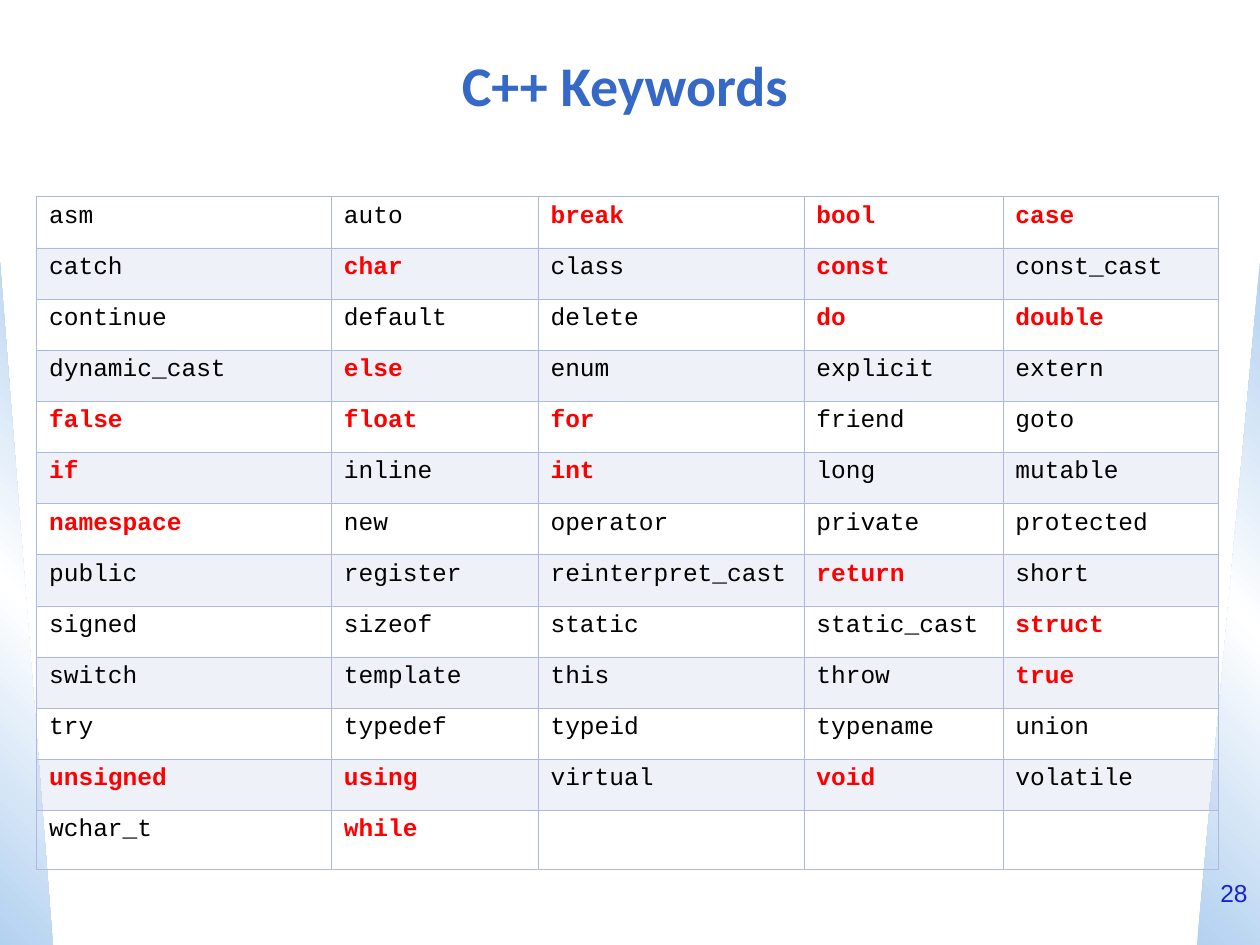
from pptx import Presentation
from pptx.dml.color import RGBColor
from pptx.enum.shapes import MSO_SHAPE as Shape
from pptx.enum.text import MSO_ANCHOR as Anchor, PP_ALIGN as Align
from pptx.oxml import parse_xml
from pptx.oxml.ns import nsdecls
from pptx.util import Inches, Pt

BLUE, TITLE_BLUE, NUMBER_BLUE = "B3D1F0", "3568C7", "1822CD"
GRID, RED, BLACK, WHITE = "AEB9E0", "FF0000", "000000", "FFFFFF"

COLUMN_WIDTHS = (2.34, 1.64, 2.11, 1.58, 1.71)
ROW_HEIGHT, LAST_ROW_HEIGHT = 5.28 / 13, 0.47

# An asterisk marks a highlighted keyword
KEYWORDS = """
asm auto *break *bool *case
catch *char class *const const_cast
continue default delete *do *double
dynamic_cast *else enum explicit extern
*false *float *for friend goto
*if inline *int long mutable
*namespace new operator private protected
public register reinterpret_cast *return short
signed sizeof static static_cast *struct
switch template this throw *true
try typedef typeid typename union
*unsigned *using virtual *void volatile
wchar_t *while
"""


def color(value):
    return RGBColor.from_string(value)


def format_text(paragraph, font_name, size, value, bold=False):
    for run in paragraph.runs:
        run.font.name = font_name
        run.font.size = Pt(size)
        run.font.bold = bold
        run.font.color.rgb = color(value)


def place(shape, left, top, width, height):
    shape.left, shape.top = Inches(left), Inches(top)
    shape.width, shape.height = Inches(width), Inches(height)


def add_side_triangle(slide, left, width, angle, flipped=False):
    shape = slide.shapes.add_shape(Shape.RIGHT_TRIANGLE, Inches(left), Inches(2.08),
                                   Inches(width), Inches(5.42))
    shape.shadow.inherit = False
    shape.line.fill.background()
    properties = shape.element.spPr
    if flipped:
        properties.xfrm.set("flipH", "1")
    stops = "".join(f'<a:gs pos="{position * 1000}"><a:srgbClr val="{value}"/></a:gs>'
                    for position, value in ((0, BLUE), (50, WHITE), (100, BLUE)))
    gradient = parse_xml(f'<a:gradFill {nsdecls("a")} rotWithShape="1"><a:gsLst>{stops}</a:gsLst>'
                         f'<a:lin ang="{angle * 60000}" scaled="0"/></a:gradFill>')
    properties.prstGeom.addnext(gradient)


def add_title(slide, text):
    title = slide.shapes.title
    place(title, 0.25, 0.25, 9.42, 0.83)
    frame = title.text_frame
    frame.text = text
    frame.vertical_anchor = Anchor.MIDDLE
    frame.paragraphs[0].alignment = Align.CENTER
    format_text(frame.paragraphs[0], "Calibri", 32, TITLE_BLUE, bold=True)


def set_borders(cell):
    properties = cell._tc.get_or_add_tcPr()
    for side in "LRTB":
        properties.append(parse_xml(
            f'<a:ln{side} {nsdecls("a")} w="{Pt(0.11)}"><a:solidFill>'
            f'<a:srgbClr val="{GRID}"/></a:solidFill></a:ln{side}>'))


def set_cell_fill(cell, shaded):
    if not shaded:
        cell.fill.background()
        return
    cell.fill.solid()
    cell.fill.fore_color.rgb = color(GRID)
    fill_color = cell._tc.tcPr.find(".//{*}solidFill[last()]/{*}srgbClr")
    for fill_color in cell._tc.tcPr.findall("{*}solidFill/{*}srgbClr"):
        fill_color.append(parse_xml(f'<a:alpha {nsdecls("a")} val="20000"/>'))


def set_keyword(cell, word):
    paragraph = cell.text_frame.paragraphs[0]
    highlighted = word.startswith("*")
    paragraph.text = word.lstrip("*")
    paragraph.line_spacing = 0.92
    format_text(paragraph, "Courier New", 14, RED if highlighted else BLACK, highlighted)


def add_keyword_table(slide):
    rows = [line.split() for line in KEYWORDS.strip().splitlines()]
    frame = slide.shapes.add_table(len(rows), len(COLUMN_WIDTHS), Inches(0.29), Inches(1.56),
                                   Inches(sum(COLUMN_WIDTHS)), Inches(ROW_HEIGHT * len(rows)))
    table = frame.table
    table.first_row = table.horz_banding = False
    for column, width in zip(table.columns, COLUMN_WIDTHS):
        column.width = Inches(width)
    for row_index, words in enumerate(rows):
        row = table.rows[row_index]
        row.height = Inches(LAST_ROW_HEIGHT if row_index == len(rows) - 1 else ROW_HEIGHT)
        for cell in row.cells:
            set_borders(cell)
            set_cell_fill(cell, shaded=row_index % 2 == 1)
        for cell, word in zip(row.cells, words):
            set_keyword(cell, word)


def add_slide_number(slide, text):
    box = slide.shapes.add_textbox(Inches(9.5), Inches(6.92), Inches(0.5), Inches(0.58))
    frame = box.text_frame
    frame.word_wrap = True
    frame.text = text
    frame.paragraphs[0].alignment = Align.RIGHT
    format_text(frame.paragraphs[0], "Arial", 14, NUMBER_BLUE)


def main():
    presentation = Presentation()
    presentation.slide_width, presentation.slide_height = Inches(10), Inches(7.5)
    slide = presentation.slides.add_slide(presentation.slide_layouts[5])

    # Side decoration
    add_side_triangle(slide, 0, 0.42, 135)
    add_side_triangle(slide, 9.5, 0.5, 225, flipped=True)

    # Content
    add_title(slide, "C++ Keywords")
    add_keyword_table(slide)
    add_slide_number(slide, "28")

    presentation.save("out.pptx")


if __name__ == "__main__":
    main()
